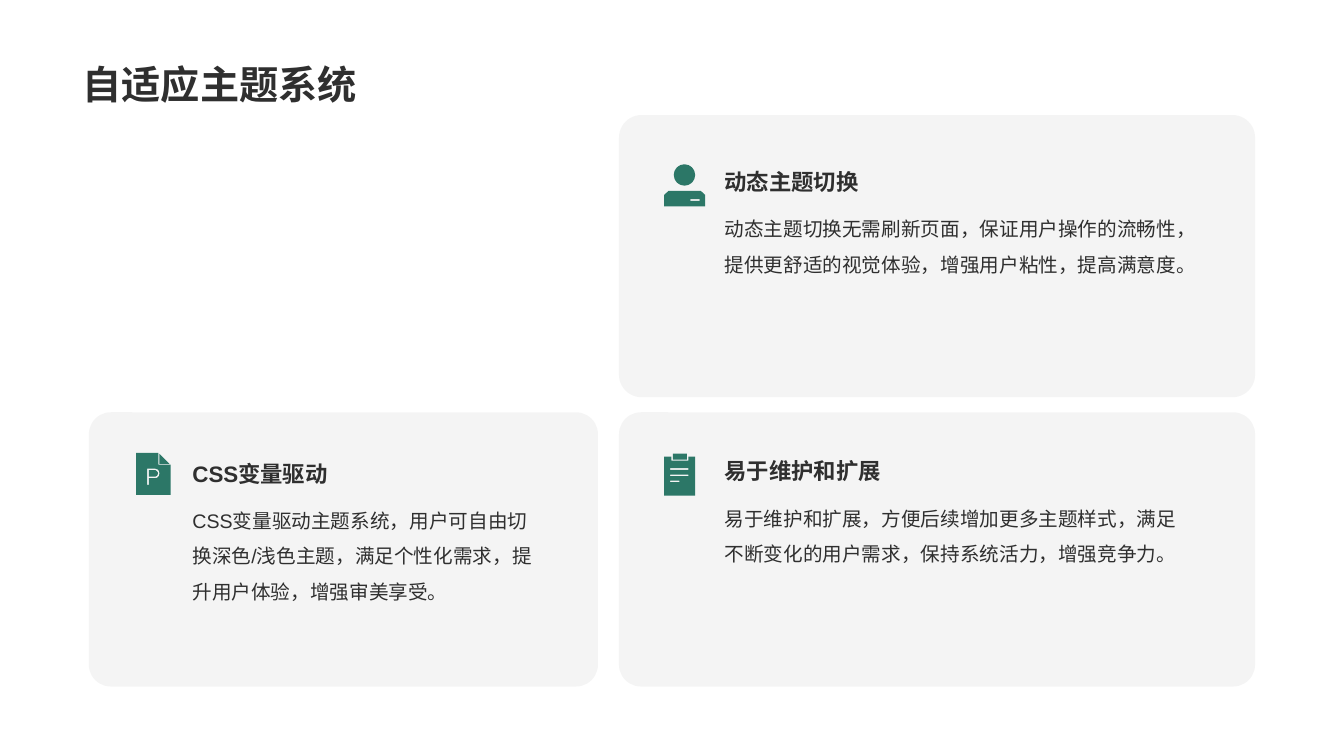
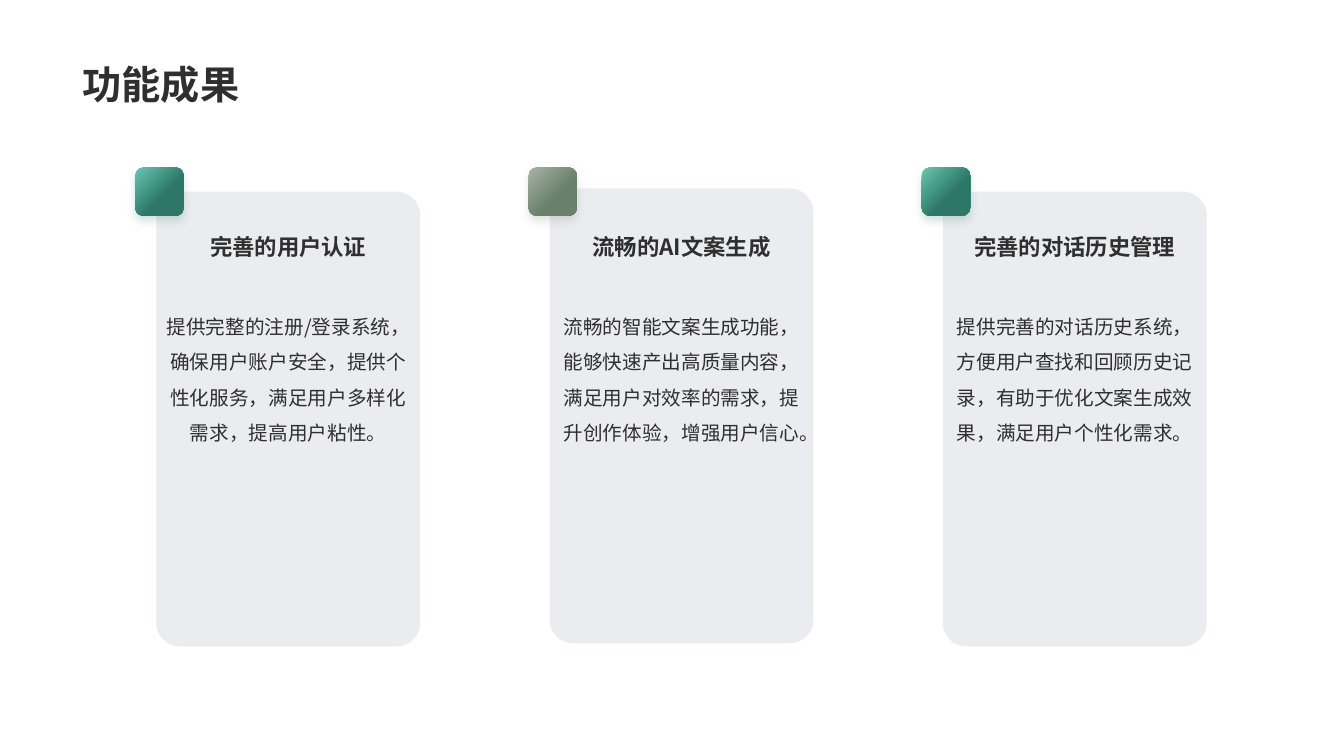
import math

import pptx
import pptx.dml.color
import pptx.enum.lang
import pptx.enum.shapes
import pptx.enum.text
import pptx.oxml
import pptx.oxml.ns
import pptx.util

Cm, Pt = pptx.util.Cm, pptx.util.Pt
SHAPE = pptx.enum.shapes.MSO_SHAPE
ALIGN = pptx.enum.text.PP_ALIGN
CJK, LATIN = "Noto Sans CJK SC", "Arial"
INK, GREEN, MINT = "2F2F2F", "2C7767", "67C7B2"
SAGE, LIGHT_SAGE = "6A806A", "A4B4A4"
HEADING_H = 0.94
HEADING = {"size": Pt(16), "bold": True}
BODY = {"size": Pt(14), "bold": False}


def arc(cx, cy, radius, start, end, steps=32):
    """Points along an arc, with angles in degrees clockwise from the right."""
    angles = [math.radians(start + (end - start) * i / steps) for i in range(steps + 1)]
    return [(cx + radius * math.cos(a), cy + radius * math.sin(a)) for a in angles]


def rect(left, top, right, bottom):
    return [(left, top), (right, top), (right, bottom), (left, bottom)]


# Icon outlines in hundredths of a centimetre; inner outlines cut holes.
CLIPBOARD = [
    [(0, 8), (18, 8), (18, 18), (61, 18), (61, 8), (78, 8), (78, 106), (0, 106)],
    rect(22, 0, 57, 15),
    rect(15, 37, 61, 41), rect(15, 53, 61, 57), rect(15, 68, 38, 72),
]
USER = [
    arc(51, 27, 27, 0, 360),
    [(0, 77), (11, 67), (92, 67), (103, 77), (103, 106), (0, 106)],
    rect(66, 88, 89, 92),
]
DOCUMENT = [
    [(0, 0), (56, 0), (56, 30), (87, 30), (87, 106), (0, 106)],
    [(28, 40)] + arc(47, 52, 12, -90, 90) + [(32, 64), (32, 81), (28, 81)],
    [(32, 44)] + arc(47, 52, 8, -90, 90) + [(32, 60)],
    [(59, 3), (84, 28), (59, 28)],
]

THEME_TITLE = "自适应主题系统"
# Card box, icon, icon left and top, text left, top and width (cm)
THEME_CARDS = [
    ((15.6, 10.39, 16.03, 6.91), CLIPBOARD, (16.74, 11.43), (18.01, 11.4, 12.09),
     "易于维护和扩展",
     "易于维护和扩展，方便后续增加更多主题样式，满足不断变化的用户需求，保持系统活力，增强竞争力。"),
    ((15.6, 2.9, 16.03, 7.11), USER, (16.74, 4.14), (18.01, 4.11, 12.04),
     "动态主题切换",
     "动态主题切换无需刷新页面，保证用户操作的流畅性，提供更舒适的视觉体验，增强用户粘性，提高满意度。"),
    ((2.24, 10.39, 12.83, 6.91), DOCUMENT, (3.43, 11.41), (4.6, 11.46, 9.27),
     "CSS变量驱动",
     "CSS变量驱动主题系统，用户可自由切换深色/浅色主题，满足个性化需求，提升用户体验，增强审美享受。"),
]

RESULT_TITLE = "功能成果"
# Card top (cm), badge colours, heading, body
RESULT_CARDS = [
    (4.83, (MINT, GREEN), "完善的用户认证",
     "提供完整的注册/登录系统，确保用户账户安全，提供个性化服务，满足用户多样化需求，提高用户粘性。"),
    (4.75, (LIGHT_SAGE, SAGE), "流畅的AI文案生成",
     "流畅的智能文案生成功能，能够快速产出高质量内容，满足用户对效率的需求，提升创作体验，增强用户信心。"),
    (4.83, (MINT, GREEN), "完善的对话历史管理",
     "提供完善的对话历史系统，方便用户查找和回顾历史记录，有助于优化文案生成效果，满足用户个性化需求。"),
]
RESULT_LEFT, RESULT_PITCH, RESULT_W, RESULT_H = 3.94, 9.91, 6.65, 11.46
BADGE_TOP, BADGE_SIZE, BADGE_SHIFT = 4.22, 1.22, 0.53


def rgb(value):
    return pptx.dml.color.RGBColor.from_string(value)


def sub(parent, tag, **attrs):
    el = pptx.oxml.parse_xml(f"<{tag} {pptx.oxml.ns.nsdecls('a')}/>")
    for name, value in attrs.items():
        el.set(name, str(value))
    parent.append(el)
    return el


def write(tf, text, font, face, align=ALIGN.LEFT, spacing=1.0):
    p = tf.paragraphs[0]
    p.alignment, p.line_spacing = align, spacing
    r = p.add_run()
    r.text = text
    values = {"name": face, "language_id": pptx.enum.lang.MSO_LANGUAGE_ID.SIMPLIFIED_CHINESE}
    for name, value in {**values, **font}.items():
        setattr(r.font, name, value)
    r.font.color.rgb = rgb(INK)
    sub(r.font._element, "a:ea", typeface=CJK)


def add_text(s, box, text, font, face, inset=0.13, **layout):
    tf = s.shapes.add_textbox(*map(Cm, box)).text_frame
    tf.word_wrap = True
    tf.auto_size = pptx.enum.text.MSO_AUTO_SIZE.SHAPE_TO_FIT_TEXT
    tf.margin_top = tf.margin_bottom = Cm(inset)
    write(tf, text, font, face, **layout)


def add_round(s, box, corner):
    sp = s.shapes.add_shape(SHAPE.ROUNDED_RECTANGLE, *map(Cm, box))
    sp.adjustments[0] = corner
    sp.shadow.inherit = False
    sp.line.fill.background()
    return sp


def add_card(s, box, corner, color, alpha):
    sp = add_round(s, box, corner)
    sp.fill.solid()
    sp.fill.fore_color.rgb = rgb(color)
    fill = sp._element.spPr.find(pptx.oxml.ns.qn("a:solidFill"))
    sub(fill[0], "a:alpha", val=alpha * 1000)


def add_badge(s, box, colors):
    sp = add_round(s, box, 0.17)
    sp.fill.gradient()
    sp.fill.gradient_angle = 315
    for stop, color, position in zip(sp.fill.gradient_stops, colors, (0, 0.6)):
        stop.color.rgb, stop.position = rgb(color), position
    effects = sp._element.spPr.find(pptx.oxml.ns.qn("a:effectLst"))
    shadow = sub(effects, "a:outerShdw", blurRad=Pt(6), dist=Pt(4), dir=5400000,
                 algn="t", rotWithShape=0)
    sub(sub(shadow, "a:srgbClr", val=colors[1]), "a:alpha", val=20000)


def add_icon(s, left, top, outlines):
    first, *others = outlines
    builder = s.shapes.build_freeform(*first[0], scale=float(Cm(0.01)))
    builder.add_line_segments(first[1:])
    for outline in others:
        builder.move_to(*outline[0])
        builder.add_line_segments(outline[1:])
    sp = builder.convert_to_shape(Cm(left), Cm(top))
    sp.shadow.inherit = False
    sp.line.fill.background()
    sp.fill.solid()
    sp.fill.fore_color.rgb = rgb(GREEN)


def add_slide(prs, title):
    s = prs.slides.add_slide(prs.slide_layouts[5])
    sp = s.shapes.title
    sp.left, sp.top, sp.width, sp.height = map(Cm, (1.83, 0, 30.18, 2.84))
    tf = sp.text_frame
    tf.vertical_anchor = pptx.enum.text.MSO_ANCHOR.BOTTOM
    write(tf, title, {"size": Pt(28), "bold": True}, CJK, spacing=0.9)
    return s


def build_theme_slide(prs):
    s = add_slide(prs, THEME_TITLE)
    for box, icon, icon_at, (left, top, width), heading, body in THEME_CARDS:
        add_card(s, box, 0.08, "979797", 10)
        add_icon(s, *icon_at, icon)
        add_text(s, (left, top + HEADING_H, width, 2.84), body, BODY, LATIN, spacing=1.5)
        add_text(s, (left, top, width, HEADING_H), heading, HEADING, LATIN)


def build_result_slide(prs):
    s = add_slide(prs, RESULT_TITLE)
    for i, (top, colors, heading, body) in enumerate(RESULT_CARDS):
        left = RESULT_LEFT + i * RESULT_PITCH
        add_card(s, (left, top, RESULT_W, RESULT_H), 0.09, "778495", 15)
        add_badge(s, (left - BADGE_SHIFT, BADGE_TOP, BADGE_SIZE, BADGE_SIZE), colors)
        add_text(s, (left, 5.74, RESULT_W, HEADING_H), heading, HEADING, CJK,
                 align=ALIGN.CENTER)
        add_text(s, (left, 7.39, RESULT_W, 3.5), body, BODY, CJK, inset=0.25,
                 align=ALIGN.CENTER, spacing=1.5)


def main():
    prs = pptx.Presentation()
    prs.slide_width, prs.slide_height = Cm(33.87), Cm(19.05)
    build_theme_slide(prs)
    build_result_slide(prs)
    prs.save("out.pptx")


if __name__ == "__main__":
    main()
